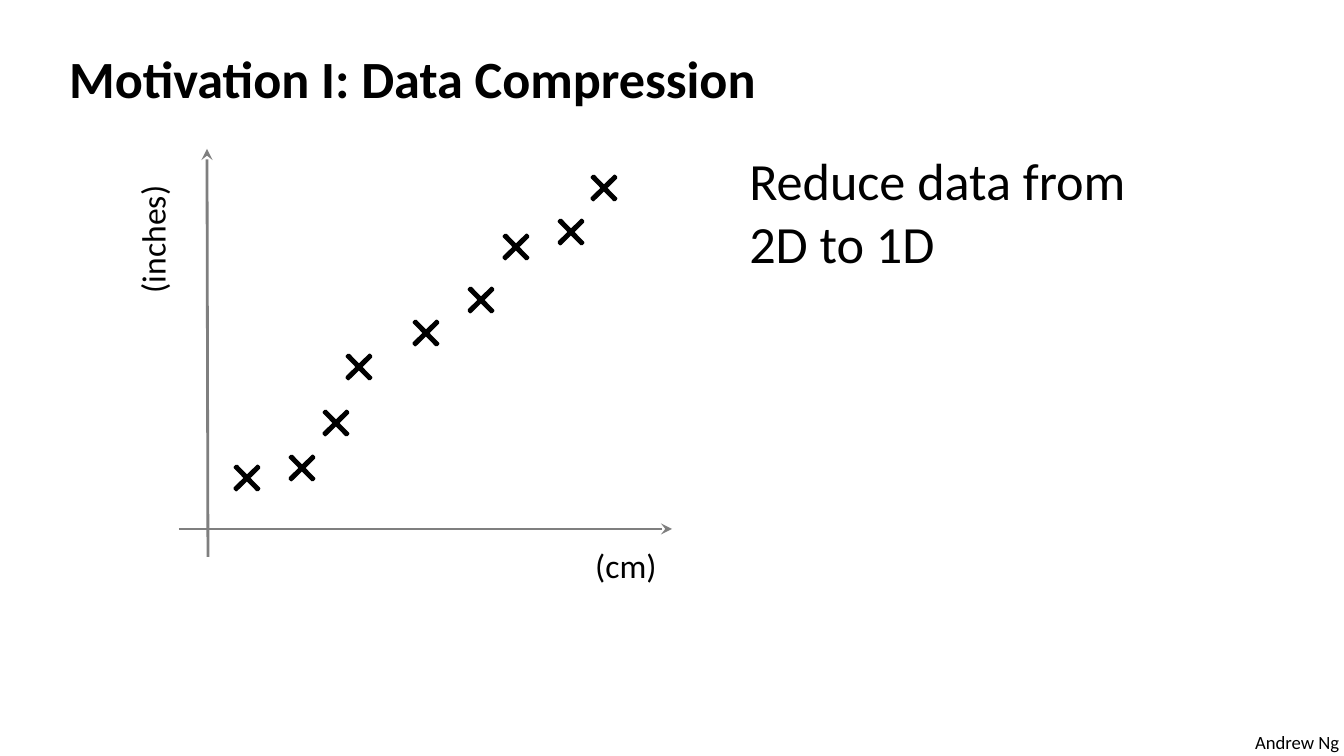
import dataclasses
import pptx
import pptx.dml.color
import pptx.enum.shapes
import pptx.oxml
import pptx.oxml.ns
import pptx.util


@dataclasses.dataclass(frozen=True)
class Theme:
    face: str = "Calibri"
    ink: str = "000000"
    axis: str = "7F7F7F"
    head: int = 28
    label: int = 18
    foot: int = 10
    line: float = 1.5


THEME = Theme()
SCALE = 914400 * 10 / 1344
CROSS = 32
POINTS = [(247, 478), (302, 468), (336, 423), (359, 367), (426, 333),
          (481, 300), (516, 247), (571, 232), (604, 188)]


def px(count):
    return pptx.util.Emu(round(count * SCALE))


def color(code):
    return pptx.dml.color.RGBColor.from_string(code)


def style(item, values):
    for name, value in values.items():
        setattr(item, name, value)


def add_text(slide, area, lines, size, bold=False, turn=0):
    box = slide.shapes.add_textbox(*map(px, area))
    box.rotation = turn
    frame = box.text_frame
    frame.word_wrap = True
    frame.text = "\n".join(lines)
    for para in frame.paragraphs:
        style(para.font, {"name": THEME.face, "size": pptx.util.Pt(size), "bold": bold})
        para.font.color.rgb = color(THEME.ink)


def add_axis(slide, start, end):
    kind = pptx.enum.shapes.MSO_CONNECTOR.STRAIGHT
    axis = slide.shapes.add_connector(kind, *map(px, start + end))
    axis.line.color.rgb = color(THEME.axis)
    axis.line.width = pptx.util.Pt(THEME.line)
    tail = pptx.oxml.parse_xml(
        f'<a:tailEnd {pptx.oxml.ns.nsdecls("a")} type="stealth"/>')
    axis.line._get_or_add_ln().append(tail)
    flat = pptx.oxml.parse_xml(f'<a:effectLst {pptx.oxml.ns.nsdecls("a")}/>')
    axis._element.spPr.append(flat)


def add_cross(slide, x, y):
    kind = pptx.enum.shapes.MSO_SHAPE.CROSS
    area = (x - CROSS // 2, y - CROSS // 2, CROSS, CROSS)
    cross = slide.shapes.add_shape(kind, *map(px, area))
    cross.adjustments[0] = 0.466
    cross.rotation = 45.6
    cross.shadow.inherit = False
    cross.fill.solid()
    cross.fill.fore_color.rgb = color(THEME.ink)
    cross.line.color.rgb = color(THEME.ink)
    cross.line.width = pptx.util.Pt(THEME.line)


def main():
    deck = pptx.Presentation()
    style(deck, {"slide_width": px(1344), "slide_height": px(756)})
    slide = deck.slides.add_slide(deck.slide_layouts[6])
    add_text(slide, (1242, 724, 113, 36), ["Andrew Ng"], THEME.foot)
    add_text(slide, (56, 40, 1220, 77), ["Motivation I: Data Compression"],
             THEME.head, bold=True)
    add_axis(slide, (208, 557), (207, 149))
    add_axis(slide, (179, 529), (672, 529))
    for x, y in POINTS:
        add_cross(slide, x, y)
    add_text(slide, (75, 202, 155, 54), ["(inches)"], THEME.label, turn=270)
    add_text(slide, (582, 538, 155, 54), ["(cm)"], THEME.label)
    add_text(slide, (736, 142, 551, 140), ["Reduce data from", "2D to 1D"], THEME.head)
    deck.save("out.pptx")


if __name__ == "__main__":
    main()
